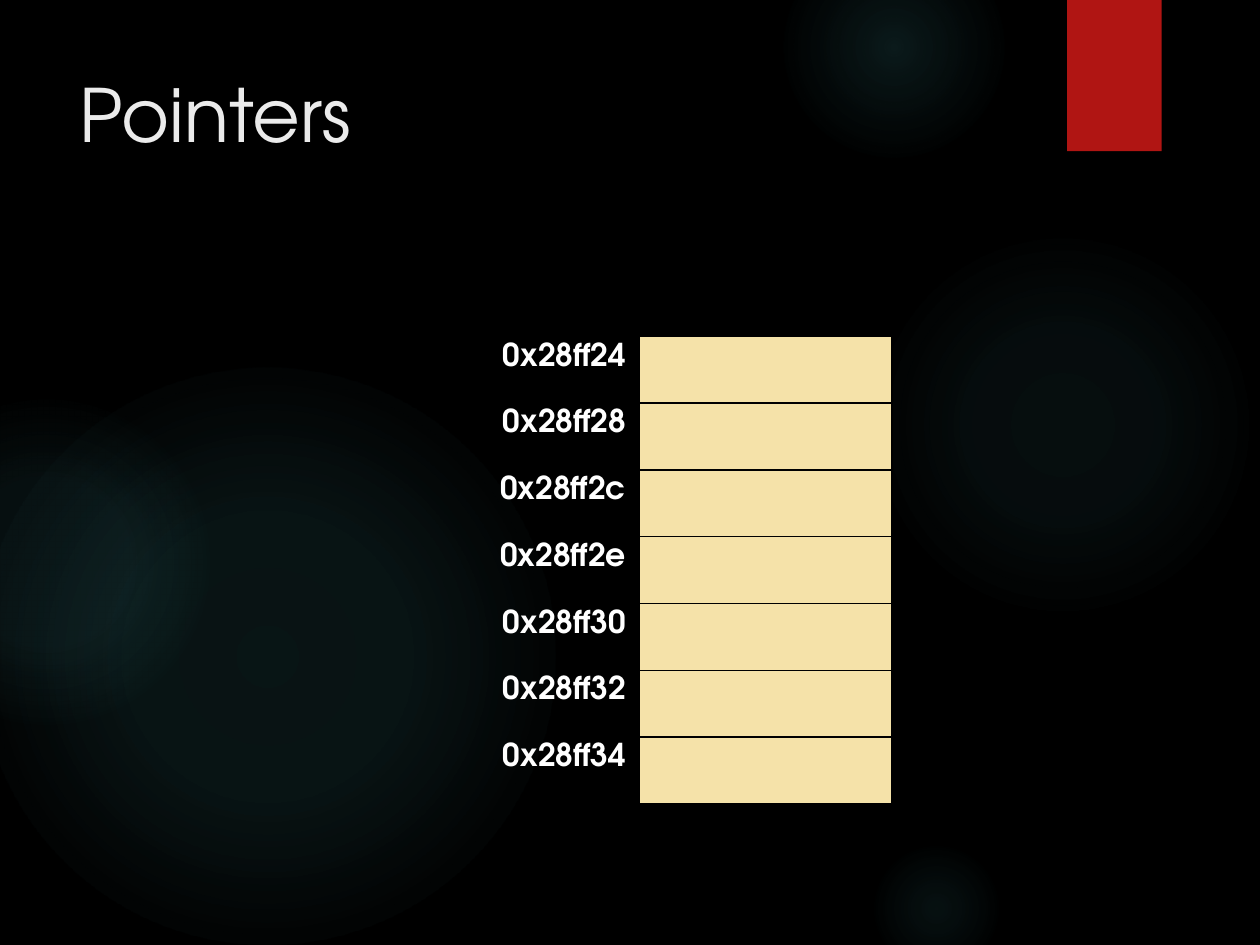
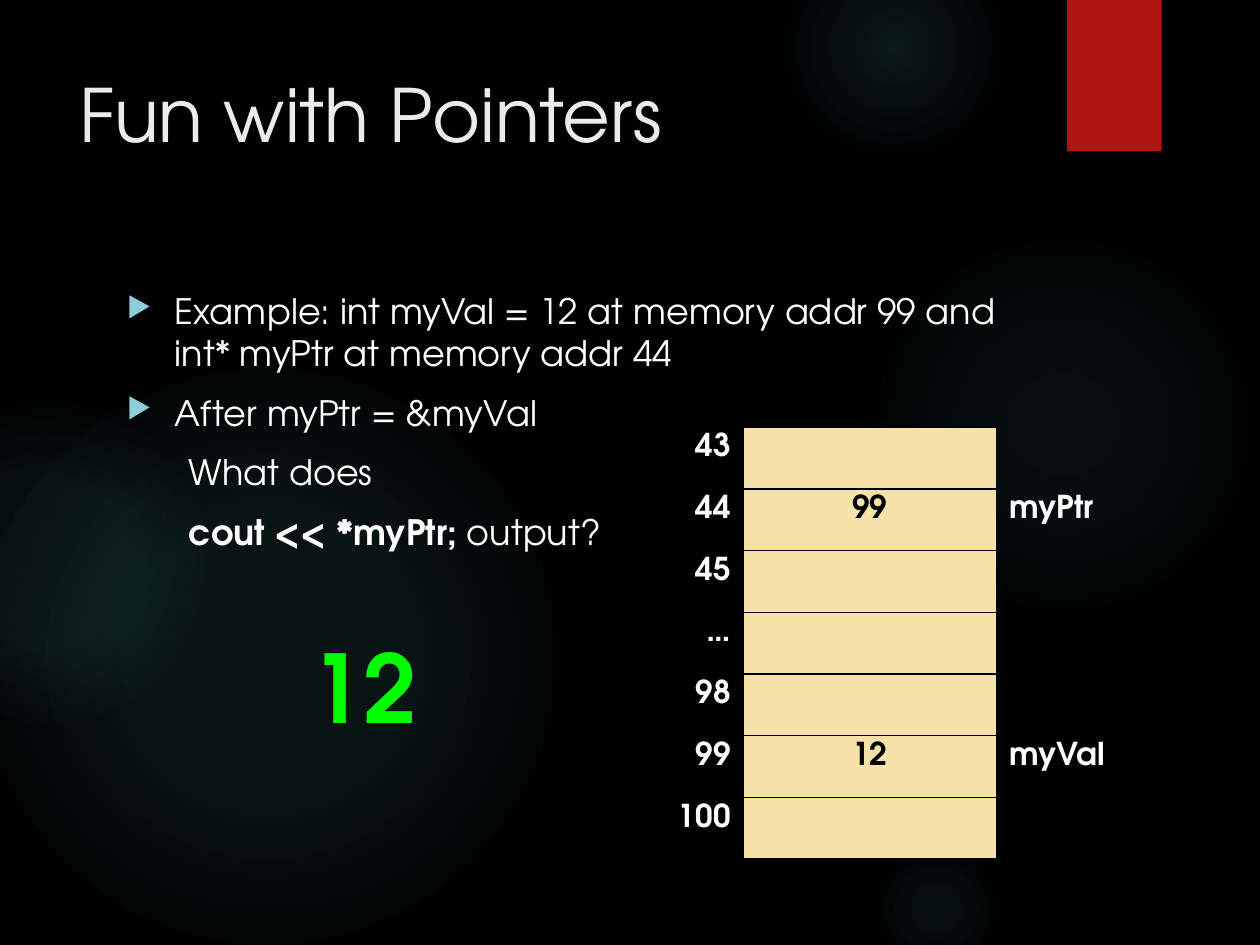
from pptx import Presentation
from pptx import util as u
from pptx.dml.color import RGBColor
from pptx.enum import shapes, text
from pptx.oxml import parse_xml
from pptx.oxml.ns import nsdecls

FONT = "TeX Gyre Adventor"
BLACK = RGBColor(0x00, 0x00, 0x00)
WHITE = RGBColor(0xFF, 0xFF, 0xFF)
PALE = RGBColor(0xEB, 0xEB, 0xEB)
RED = RGBColor(0xB0, 0x15, 0x13)
GLOW = RGBColor(0x50, 0xB9, 0xC1)
MARK = RGBColor(0x8A, 0xD0, 0xD6)
SAND = RGBColor(0xF5, 0xE2, 0xA9)
GREEN = RGBColor(0x00, 0xFF, 0x00)

# Glows: left, top, size, then (position, opacity) stops in percent
GLOWS = [
    (6.89, 1.83, 3.08, [(0, 7), (36, 6), (69, 0)]),
    (6.22, -0.5, 1.75, [(0, 14), (36, 7), (73, 0)]),
    (6.89, 6.67, 1.08, [(0, 9), (36, 5), (66, 0)]),
    (-0.17, 2.92, 4.58, [(0, 11), (36, 10), (75, 0)]),
    (-0.92, 3.17, 2.58, [(0, 8), (36, 8), (72, 0)]),
]

# Memory table columns: width, alignment, text colour, fill, bordered sides
COLS = [
    (1.51, text.PP_ALIGN.RIGHT, WHITE, None, "R"),
    (2.01, text.PP_ALIGN.CENTER, BLACK, SAND, "LRTB"),
    (1.17, text.PP_ALIGN.LEFT, WHITE, None, "L"),
]
NO_GRID = "{2D5ABB26-0587-4C30-8999-92F81FD0307C}"


class Deck:
    def __init__(self):
        self.prs = Presentation()
        self.prs.slide_width = u.Inches(10)
        self.prs.slide_height = u.Inches(7.5)
        self.slide = None

    def start(self, title):
        """Add a slide with the shared backdrop, band and title."""
        self.slide = self.prs.slides.add_slide(self.prs.slide_layouts[6])
        fill = self.slide.background.fill
        fill.solid()
        fill.fore_color.rgb = BLACK
        for glow in GLOWS:
            self.glow(*glow)
        band = self.shape(shapes.MSO_SHAPE.RECTANGLE, 8.47, 0, 0.75, 1.2)
        band.fill.solid()
        band.fill.fore_color.rgb = RED
        para = self.box(0.53, 0.5, 7.72, 1.53).paragraphs[0]
        para.text = title
        self.style(para, 42, PALE)

    def shape(self, kind, x, y, w, h):
        item = self.slide.shapes.add_shape(
            kind, u.Inches(x), u.Inches(y), u.Inches(w), u.Inches(h))
        item.shadow.inherit = False
        item.line.fill.background()
        return item

    def glow(self, x, y, size, stops):
        item = self.shape(shapes.MSO_SHAPE.OVAL, x, y, size, size)
        item.fill.background()
        marks = "".join(
            f'<a:gs pos="{pos * 1000}"><a:srgbClr val="{GLOW}">'
            f'<a:alpha val="{alpha * 1000}"/></a:srgbClr></a:gs>'
            for pos, alpha in stops)
        grad = parse_xml(
            f'<a:gradFill {nsdecls("a")}><a:gsLst>{marks}</a:gsLst>'
            '<a:path path="circle"><a:fillToRect l="50000" t="50000" '
            'r="50000" b="50000"/></a:path></a:gradFill>')
        props = item._element.spPr
        props.replace(props.eg_fillProperties, grad)

    def box(self, x, y, w, h):
        item = self.slide.shapes.add_textbox(
            u.Inches(x), u.Inches(y), u.Inches(w), u.Inches(h))
        item.text_frame.word_wrap = True
        return item.text_frame

    def style(self, para, size, color, bold=None):
        font = para.font
        font.name, font.size, font.bold = FONT, u.Pt(size), bold
        font.color.rgb = color

    def body(self, frame, runs, size=20, color=WHITE, indent=0.49, gap=10,
             bullet=False):
        """Add a paragraph made of (words, bold) runs."""
        para = frame.paragraphs[0]
        if para.runs:
            para = frame.add_paragraph()
        for words, bold in runs:
            run = para.add_run()
            run.text = words
            run.font.bold = bold
        para.space_before = u.Pt(gap)
        props = para._p.get_or_add_pPr()
        props.set("marL", str(u.Inches(indent)))
        props.set("indent", str(u.Inches(-indent if bullet else 0)))
        if bullet:
            for part in (f'buClr {nsdecls("a")}><a:srgbClr val="{MARK}"/></a:buClr',
                         f'buSzPct {nsdecls("a")} val="80000"/',
                         f'buChar {nsdecls("a")} char="▶"/'):
                props.append(parse_xml(f"<a:{part}>"))
        self.style(para, size, color)

    def memory(self, x, y, step, rows):
        """Draw memory cells from (address, value, name) rows."""
        wide = sum(col[0] for col in COLS)
        frame = self.slide.shapes.add_table(
            len(rows), len(COLS), u.Inches(x), u.Inches(y),
            u.Inches(wide), u.Inches(step * len(rows)))
        table = frame.table
        table.first_row = table.horz_banding = False
        table._tbl.tblPr.find("{*}tableStyleId").text = NO_GRID
        for row in table.rows:
            row.height = u.Inches(step)
        for c, (width, align, color, fill, sides) in enumerate(COLS):
            table.columns[c].width = u.Inches(width)
            for r, row in enumerate(rows):
                cell = table.cell(r, c)
                self.edges(cell, sides)
                if fill:
                    cell.fill.solid()
                    cell.fill.fore_color.rgb = fill
                else:
                    cell.fill.background()
                para = cell.text_frame.paragraphs[0]
                para.text = row[c]
                para.alignment = align
                self.style(para, 18, color, True)

    def edges(self, cell, sides):
        props = cell._tc.get_or_add_tcPr()
        for side in sides:
            props.append(parse_xml(
                f'<a:ln{side} {nsdecls("a")} w="{u.Pt(1)}"><a:solidFill>'
                f'<a:srgbClr val="{BLACK}"/></a:solidFill></a:ln{side}>'))


def main():
    deck = Deck()

    # Slide 1: empty memory
    deck.start("Pointers")
    ends = ["24", "28", "2c", "2e", "30", "32", "34"]
    deck.memory(3.56, 2.67, 0.53, [("0x28ff" + end, "", "") for end in ends])

    # Slide 2: worked example
    deck.start("Fun with Pointers")
    frame = deck.box(0.91, 2.25, 7.34, 4.59)
    for words in ("Example: int myVal = 12 at memory addr 99 and "
                  "int* myPtr at memory addr 44",
                  "After myPtr = &myVal"):
        deck.body(frame, [(words, None)], indent=0.38, bullet=True)
    deck.body(frame, [("What does", None)])
    deck.body(frame, [("cout << *myPtr; ", True), ("output?", False)])
    deck.body(frame, [("12", True)], size=54, color=GREEN, indent=1.46, gap=44)
    deck.memory(4.39, 3.39, 0.49, [
        ("43", "", ""),
        ("44", "99", "myPtr"),
        ("45", "", ""),
        ("…", "", ""),
        ("98", "", ""),
        ("99", "12", "myVal"),
        ("100", "", ""),
    ])

    deck.prs.save("out.pptx")


if __name__ == "__main__":
    main()
